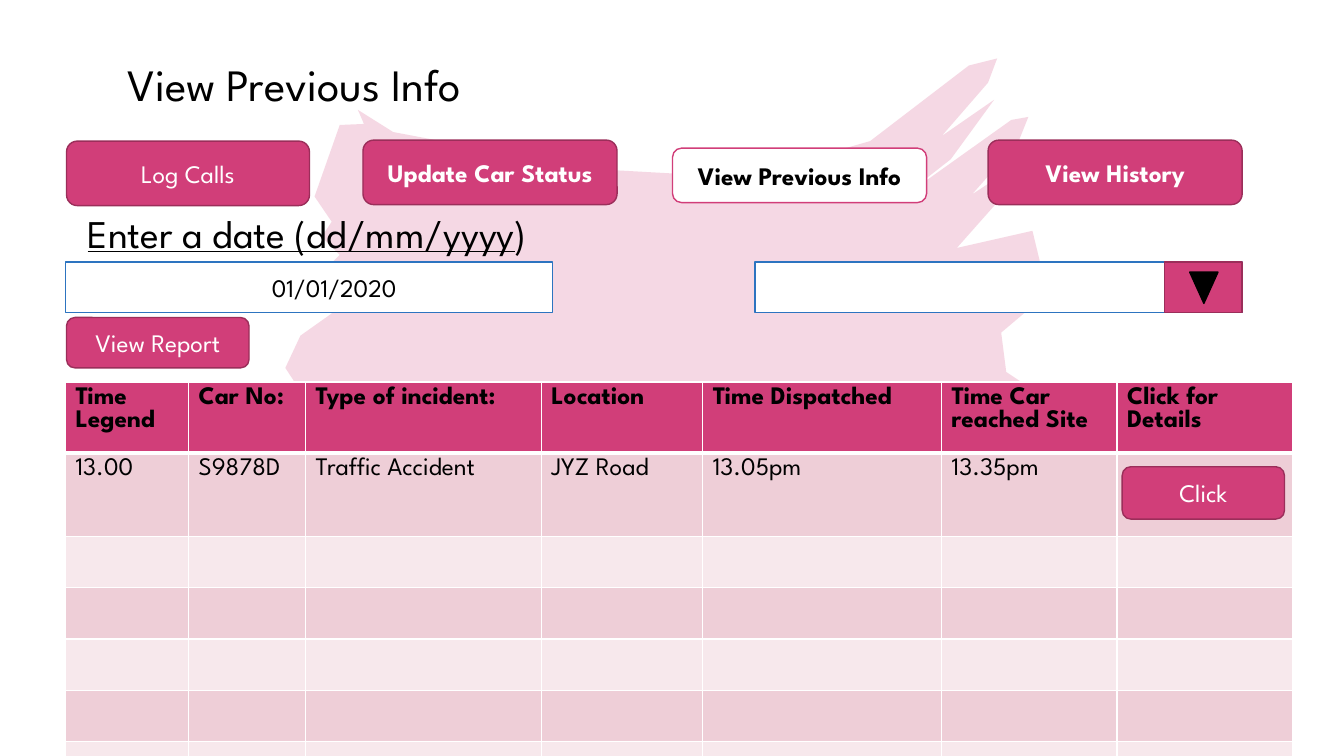
import dataclasses

import pptx
import pptx.dml.color
import pptx.enum.shapes
import pptx.enum.text
import pptx.oxml
import pptx.oxml.ns
import pptx.util
from pptx.util import Inches

ShapeType = pptx.enum.shapes.MSO_SHAPE
Align = pptx.enum.text.PP_ALIGN
Anchor = pptx.enum.text.MSO_ANCHOR


@dataclasses.dataclass(frozen=True)
class Theme:
    font: str = "League Spartan"
    pink: str = "D13E79"
    dark_pink: str = "9B2E5A"
    blue: str = "2D74C0"
    black: str = "000000"
    white: str = "FFFFFF"
    bands: tuple = ("EECED7", "F7E8EC")
    title_size: int = 32
    prompt_size: int = 28
    body_size: int = 18
    brush_alpha: int = 20


THEME = Theme()

# Brush stroke outline, in hundredths of an inch
BRUSH_OUTLINE = [
    (443, 141), (540, 165), (665, 172), (769, 167), (863, 140), (961, 65),
    (989, 58), (980, 82), (934, 135), (986, 99), (943, 158), (888, 201),
    (1003, 119), (1020, 116), (1010, 141), (964, 193), (1017, 158),
    (989, 190), (1009, 178), (996, 193), (949, 246), (1024, 229),
    (1032, 262), (976, 303), (1019, 308), (993, 330), (998, 369),
    (1016, 381), (1048, 403), (959, 495), (872, 584), (704, 616),
    (379, 512), (283, 365), (298, 333), (329, 311), (308, 282), (337, 253),
    (319, 235), (329, 220), (312, 195), (337, 124), (361, 123), (355, 109),
    (390, 131),
]

# left, top, width, height, label, format changes
BUTTONS = [
    (0.66, 3.15, 1.81, 0.5, "View Report", {}),
    (0.66, 1.4, 2.41, 0.64, "Log Calls", {}),
    (3.6, 1.39, 2.52, 0.64, "Update Car Status", {"bold": True}),
    (9.8, 1.39, 2.52, 0.64, "View History", {"bold": True}),
]

COLUMN_WIDTHS = [1.22, 1.16, 2.34, 1.6, 2.37, 1.74, 1.74]
ROW_HEIGHTS = [0.51, 0.83] + [0.51] * 5
TABLE_TEXT = [
    ["Time Legend", "Car No:", "Type of incident:", "Location",
     "Time Dispatched", "Time Car reached Site", "Click for Details"],
    ["13.00", "S9878D", "Traffic Accident", "JYZ Road", "13.05pm", "13.35pm"],
]


def rgb(color):
    return pptx.dml.color.RGBColor.from_string(color)


def add_run(paragraph, text, color=THEME.black, size=THEME.body_size, **changes):
    run = paragraph.add_run()
    run.text = text
    run.font.color.rgb = rgb(color)
    values = {"name": THEME.font, "size": pptx.util.Pt(size), **changes}
    for name, value in values.items():
        setattr(run.font, name, value)


def paint(shape, fill, line=None):
    shape.shadow.inherit = False
    shape.fill.solid()
    shape.fill.fore_color.rgb = rgb(fill)
    if line:
        shape.line.color.rgb = rgb(line)
        shape.line.width = pptx.util.Pt(1)
    else:
        shape.line.fill.background()


def add_box(slide, box, kind=ShapeType.RECTANGLE, fill=THEME.white,
            line=THEME.blue, text=None, **text_format):
    shape = slide.shapes.add_shape(kind, *map(Inches, box))
    paint(shape, fill, line)
    if text:
        shape.text_frame.vertical_anchor = Anchor.MIDDLE
        paragraph = shape.text_frame.paragraphs[0]
        paragraph.alignment = Align.CENTER
        add_run(paragraph, text, **text_format)
    return shape


def add_button(slide, box, text, fill=THEME.pink, line=THEME.dark_pink,
               color=THEME.white, **text_format):
    add_box(slide, box, ShapeType.ROUNDED_RECTANGLE, fill, line, text,
            color=color, **text_format)


def add_text(slide, box, runs, size, alignment=Align.LEFT):
    frame = slide.shapes.add_textbox(*map(Inches, box)).text_frame
    frame.word_wrap = True
    frame.auto_size = pptx.enum.text.MSO_AUTO_SIZE.SHAPE_TO_FIT_TEXT
    paragraph = frame.paragraphs[0]
    paragraph.alignment = alignment
    for text, changes in runs:
        add_run(paragraph, text, size=size, **changes)


def add_brush(slide):
    builder = slide.shapes.build_freeform(*BRUSH_OUTLINE[0], scale=Inches(0.01))
    builder.add_line_segments(BRUSH_OUTLINE[1:], close=True)
    shape = builder.convert_to_shape()
    paint(shape, THEME.pink)
    color = shape.fill._xPr.find(".//" + pptx.oxml.ns.qn("a:srgbClr"))
    alpha = pptx.oxml.parse_xml(
        f'<a:alpha {pptx.oxml.ns.nsdecls("a")} val="{THEME.brush_alpha * 1000}"/>')
    color.append(alpha)


def set_borders(cell, bottom_width):
    properties = cell._tc.get_or_add_tcPr()
    widths = {"lnL": 1, "lnR": 1, "lnT": 1, "lnB": bottom_width}
    for index, (side, width) in enumerate(widths.items()):
        border = pptx.oxml.parse_xml(
            f'<a:{side} {pptx.oxml.ns.nsdecls("a")} w="{pptx.util.Pt(width)}">'
            f'<a:solidFill><a:srgbClr val="{THEME.white}"/></a:solidFill></a:{side}>')
        properties.insert(index, border)


def add_incident_table(slide):
    box = (0.65, 3.79, sum(COLUMN_WIDTHS), sum(ROW_HEIGHTS))
    table = slide.shapes.add_table(
        len(ROW_HEIGHTS), len(COLUMN_WIDTHS), *map(Inches, box)).table
    for column, width in zip(table.columns, COLUMN_WIDTHS):
        column.width = Inches(width)
    for index, (row, height) in enumerate(zip(table.rows, ROW_HEIGHTS)):
        row.height = Inches(height)
        for cell in row.cells:
            cell.fill.solid()
            cell.fill.fore_color.rgb = rgb(
                THEME.bands[(index - 1) % 2] if index else THEME.pink)
            set_borders(cell, 1 if index else 3)
    for index, texts in enumerate(TABLE_TEXT):
        for cell, text in zip(table.rows[index].cells, texts):
            add_run(cell.text_frame.paragraphs[0], text, bold=index == 0)


def main():
    presentation = pptx.Presentation()
    presentation.slide_width = Inches(13.33)
    presentation.slide_height = Inches(7.5)
    slide = presentation.slides.add_slide(presentation.slide_layouts[6])

    # Background and title
    add_brush(slide)
    add_text(slide, (0.66, 0.51, 4.52, 0.64), [("View Previous Info", {})],
             THEME.title_size, Align.CENTER)

    # Navigation, with the current page in white
    for *box, label, changes in BUTTONS:
        add_button(slide, box, label, **changes)
    add_button(slide, (6.67, 1.47, 2.52, 0.54), "View Previous Info",
               THEME.white, THEME.pink, THEME.black, bold=True)

    # Date entry and drop-down
    add_text(slide, (0.77, 2.03, 5.7, 0.57),
             [("Enter a date (dd/mm/yyyy", {"underline": True}), (")", {})],
             THEME.prompt_size)
    add_box(slide, (0.65, 2.6, 4.83, 0.5), text="\t01/01/2020")
    add_box(slide, (7.49, 2.6, 4.83, 0.5))
    add_box(slide, (11.55, 2.6, 0.77, 0.5), fill=THEME.pink, line=THEME.dark_pink)
    arrow = add_box(slide, (11.8, 2.7, 0.28, 0.31), ShapeType.ISOSCELES_TRIANGLE,
                    THEME.black, THEME.black)
    arrow.rotation = 180

    # Incidents
    add_incident_table(slide)
    add_button(slide, (11.13, 4.63, 1.61, 0.52), "Click")
    presentation.save("out.pptx")


if __name__ == "__main__":
    main()
